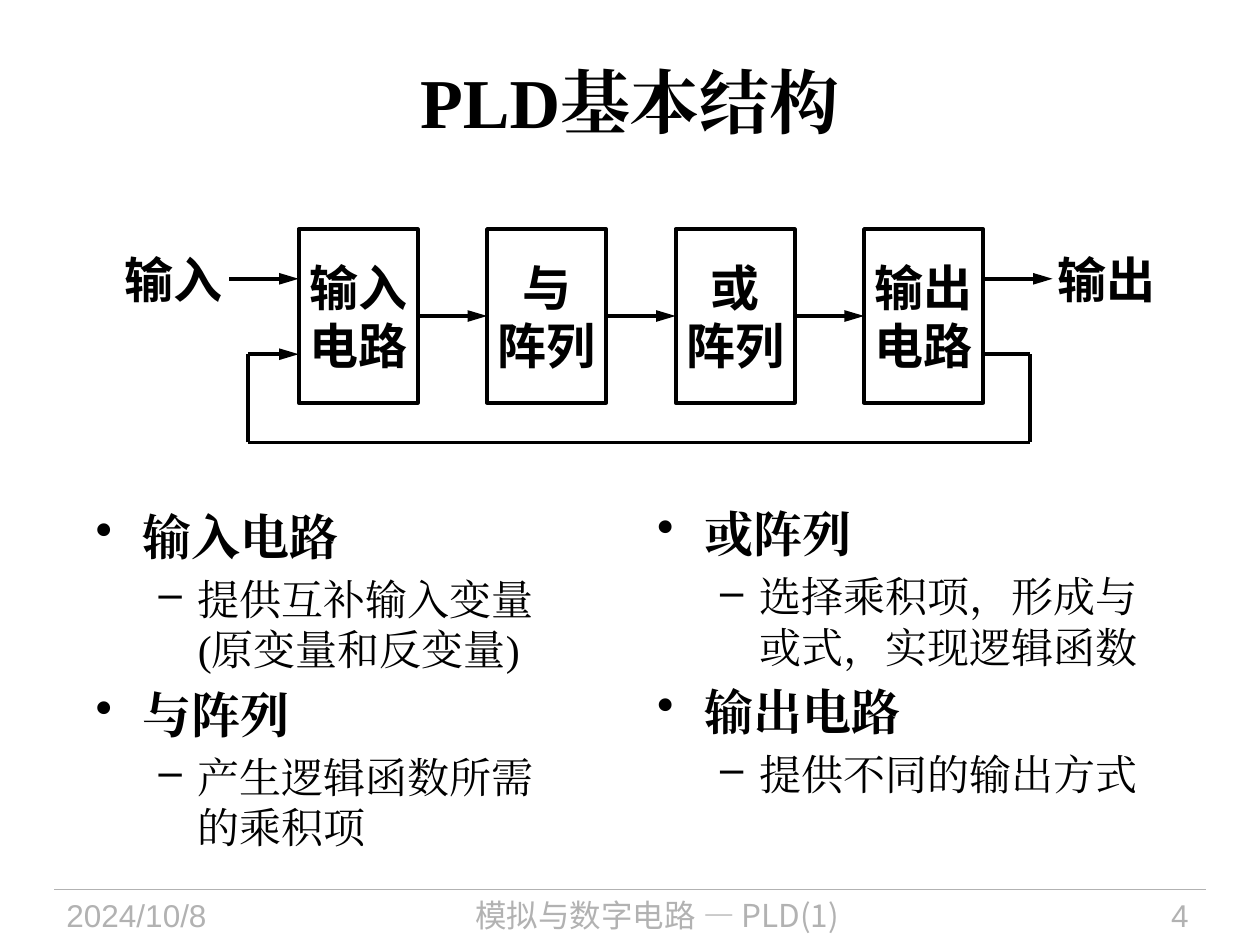
from dataclasses import dataclass
from lxml.etree import SubElement
from pptx import Presentation
from pptx.dml.color import RGBColor as RGB
from pptx.enum.shapes import MSO_CONNECTOR as Link, MSO_SHAPE as Form
from pptx.enum.text import MSO_ANCHOR as Anchor, PP_ALIGN as Align
from pptx.oxml.ns import qn
from pptx.util import Cm, Pt


@dataclass(frozen=True)
class Theme:
    ink: RGB = RGB(0, 0, 0)
    paper: RGB = RGB(255, 255, 255)
    gray: RGB = RGB(0xB2, 0xB2, 0xB2)
    serif: str = "Times New Roman"
    sans: str = "Arial"
    cjk: str = "Noto Sans CJK SC"
    title: int = 40
    head: int = 28
    body: int = 24
    foot: int = 18
    stroke: float = 2.25
    hair: float = 0.75


class Deck:
    def __init__(self, theme):
        self.theme = theme
        self.prs = Presentation()
        self.prs.slide_width, self.prs.slide_height = Cm(25.4), Cm(19.05)
        self.slide = self.prs.slides.add_slide(self.prs.slide_layouts[5])
        self.shapes = self.slide.shapes

    def style(self, para, size, font, color=None, bold=False, align=Align.LEFT):
        para.alignment = align
        for run in para.runs:
            run.font.size, run.font.bold, run.font.name = Pt(size), bold, font
            run.font.color.rgb = color or self.theme.ink
            SubElement(run.font._element, qn("a:ea")).set("typeface", font)

    def title(self, text, x, y, w, h):
        box = self.shapes.title
        box.left, box.top, box.width, box.height = Cm(x), Cm(y), Cm(w), Cm(h)
        box.text_frame.text = text
        box.text_frame.vertical_anchor = Anchor.MIDDLE
        self.style(box.text_frame.paragraphs[0], self.theme.title,
                   self.theme.serif, bold=True, align=Align.CENTER)

    def tight(self, shape, text):
        """Centre bold text in a shape that has no margins."""
        frame = shape.text_frame
        frame.text = text
        frame.word_wrap = False
        frame.vertical_anchor = Anchor.MIDDLE
        frame.margin_left = frame.margin_right = 0
        frame.margin_top = frame.margin_bottom = 0
        for para in frame.paragraphs:
            self.style(para, self.theme.head, self.theme.sans,
                       bold=True, align=Align.CENTER)

    def label(self, text, x, y, w, h):
        self.tight(self.shapes.add_textbox(Cm(x), Cm(y), Cm(w), Cm(h)), text)

    def block(self, text, x, y, w, h):
        box = self.shapes.add_shape(Form.RECTANGLE, Cm(x), Cm(y), Cm(w), Cm(h))
        box.shadow.inherit = False
        box.fill.solid()
        box.fill.fore_color.rgb = self.theme.paper
        box.line.color.rgb = self.theme.ink
        box.line.width = Pt(self.theme.stroke)
        self.tight(box, text)
        return box

    def line(self, start, end, arrow=False, color=None, width=None):
        link = self.shapes.add_connector(
            Link.STRAIGHT, *(Cm(v) for v in (*start, *end)))
        link.line.color.rgb = color or self.theme.ink
        link.line.width = Pt(width or self.theme.stroke)
        if arrow:
            tip = SubElement(link.line._get_or_add_ln(), qn("a:tailEnd"))
            for key, val in (("type", "triangle"), ("w", "med"), ("len", "lg")):
                tip.set(key, val)
        SubElement(link._element.spPr, qn("a:effectLst"))
        return link

    def join(self, left, right):
        link = self.line((0, 0), (1, 1), arrow=True)
        link.begin_connect(left, 3)
        link.end_connect(right, 1)

    def notes(self, items, x, y, w, h):
        """Add a two-level bullet list from (head, detail) pairs."""
        frame = self.shapes.add_textbox(Cm(x), Cm(y), Cm(w), Cm(h)).text_frame
        frame.word_wrap = True
        frame.text = "\n".join(text for pair in items for text in pair)
        levels = ((self.theme.head, True, 0.95, 0.95, "•"),
                  (self.theme.body, False, 2.06, 0.79, "–"))
        for num, para in enumerate(frame.paragraphs):
            para.level = num % 2
            size, bold, margin, hang, mark = levels[para.level]
            para.space_before = Pt(size * 0.2)
            self.style(para, size, self.theme.serif, bold=bold)
            props = para._p.get_or_add_pPr()
            props.set("marL", str(Cm(margin)))
            props.set("indent", str(-Cm(hang)))
            SubElement(props, qn("a:buChar")).set("char", mark)

    def foot(self, text, x, w, font, align):
        box = self.shapes.add_textbox(Cm(x), Cm(17.93), Cm(w), Cm(1.12))
        box.text_frame.word_wrap = True
        box.text_frame.text = text
        self.style(box.text_frame.paragraphs[0], self.theme.foot, font,
                   self.theme.gray, align=align)


def main():
    theme = Theme()
    deck = Deck(theme)
    deck.line((1.09, 17.93), (24.31, 17.93), color=theme.gray, width=theme.hair)
    deck.foot("2024/10/8", 1.09, 4.78, theme.sans, Align.LEFT)
    deck.foot("模拟与数字电路 — PLD(1)", 6.1, 14.3, theme.cjk, Align.CENTER)
    deck.foot("4", 20.83, 3.38, theme.sans, Align.RIGHT)
    deck.title("PLD基本结构", 1.27, 0.43, 22.86, 3.18)

    left, top, wide, high, pitch = 6.02, 4.62, 2.4, 3.5, 3.8
    stages = ("输入\n电路", "与\n阵列", "或\n阵列", "输出\n电路")
    blocks = [deck.block(text, left + num * pitch, top, wide, high)
              for num, text in enumerate(stages)]
    for pair in zip(blocks, blocks[1:]):
        deck.join(*pair)

    right = left + 3 * pitch + wide
    port, back, base, gap = 5.62, 7.14, 8.92, 1.4
    deck.line((left - gap, port), (left, port), arrow=True)
    deck.line((right, port), (right + gap, port), arrow=True)
    deck.label("输入", 2.51, 5.03, 1.98, 1.19)
    deck.label("输出", 21.31, 5.03, 1.98, 1.19)

    near, far = left - 1.02, right + 0.94
    loop = ((right, back), (far, back), (far, base),
            (near, base), (near, back), (left, back))
    for start, end in zip(loop, loop[1:]):
        deck.line(start, end, arrow=end == loop[-1])

    deck.notes((("输入电路", "提供互补输入变量(原变量和反变量)"),
                ("与阵列", "产生逻辑函数所需的乘积项")), 1.68, 10.08, 9.63, 7.54)
    deck.notes((("或阵列", "选择乘积项，形成与或式，实现逻辑函数"),
                ("输出电路", "提供不同的输出方式")), 13, 10.03, 10.59, 7.52)
    deck.prs.save("out.pptx")


if __name__ == "__main__":
    main()
